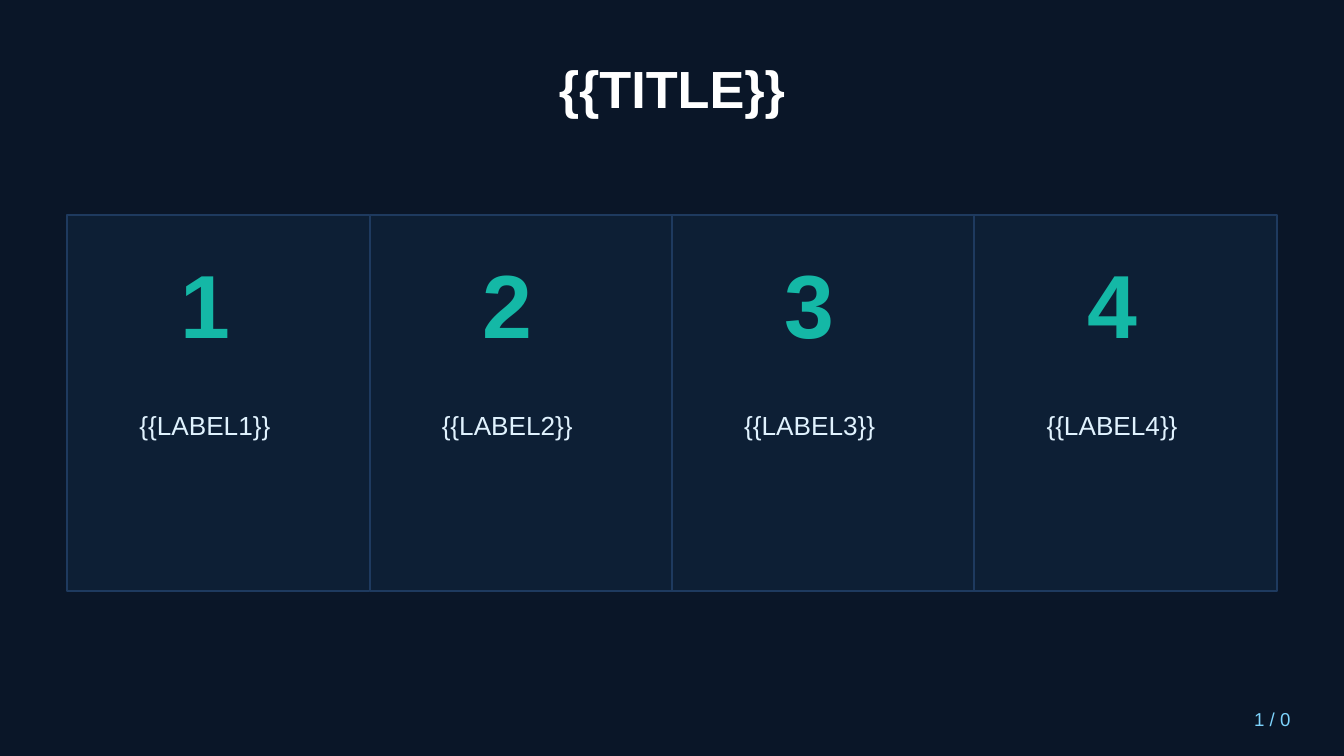
import pptx
import pptx.dml.color
import pptx.enum.shapes
import pptx.enum.text
import pptx.util

WIDTH = 10
HEIGHT = WIDTH * 9 / 16
FONT = "Arial"
ALIGN = pptx.enum.text.PP_ALIGN
ANCHOR = pptx.enum.text.MSO_ANCHOR


def colour(hex_value):
    return pptx.dml.color.RGBColor.from_string(hex_value)


def inches(box):
    return [pptx.util.Inches(length) for length in box]


def write(holder, text, size, hex_value, bold=False,
          align=ALIGN.CENTER, anchor=ANCHOR.MIDDLE):
    frame = holder.text_frame
    frame.text = text
    frame.word_wrap = True
    frame.auto_size = pptx.enum.text.MSO_AUTO_SIZE.NONE
    frame.vertical_anchor = anchor
    paragraph = frame.paragraphs[0]
    paragraph.alignment = align
    font = paragraph.runs[0].font
    font.name = FONT
    font.size = pptx.util.Pt(size)
    font.bold = bold
    font.color.rgb = colour(hex_value)


def add_heading(slide, box, text):
    heading = slide.shapes.title
    heading.left, heading.top, heading.width, heading.height = inches(box)
    write(heading, text, 28, "FFFFFF", bold=True)


def add_card(slide, box, number, label):
    left, top, width, height = box
    text_width = width - 0.2
    card = slide.shapes.add_shape(
        pptx.enum.shapes.MSO_SHAPE.RECTANGLE, *inches(box))
    card.shadow.inherit = False
    card.fill.solid()
    card.fill.fore_color.rgb = colour("0D1F35")
    card.line.color.rgb = colour("1E3A5F")
    card.line.width = pptx.util.Pt(1)

    figure = slide.shapes.add_textbox(
        *inches((left, top - 0.1, text_width, 1.5)))
    write(figure, number, 48, "14B8A6", bold=True)
    caption = slide.shapes.add_textbox(
        *inches((left, top + height / 2, text_width, 1)))
    write(caption, label, 14, "E0F2FE", anchor=ANCHOR.TOP)


def add_card_row(slide, box, labels):
    left, top, width, height = box
    column = width / len(labels)
    for index, label in enumerate(labels):
        add_card(slide, (left + index * column, top, column, height),
                 str(index + 1), label)


def add_page_count(slide, box, text):
    page_count = slide.shapes.add_textbox(*inches(box))
    write(page_count, text, 10, "7DD3FC", align=ALIGN.RIGHT)


def main():
    deck = pptx.Presentation()
    deck.slide_width, deck.slide_height = inches((WIDTH, HEIGHT))
    slide = deck.slides.add_slide(deck.slide_layouts.get_by_name("Title Only"))
    slide.background.fill.solid()
    slide.background.fill.fore_color.rgb = colour("0A1628")

    margin = WIDTH * 0.05
    content_width = WIDTH - 2 * margin
    add_heading(slide, (margin, 0.3, content_width, 0.7), "{{TITLE}}")
    add_card_row(slide, (margin, 1.6, content_width, 2.8),
                 ["{{LABEL1}}", "{{LABEL2}}", "{{LABEL3}}", "{{LABEL4}}"])
    add_page_count(slide, (WIDTH * 0.85, 5.2, WIDTH * 0.12, 0.3), "1 / 0")
    deck.save("out.pptx")


if __name__ == "__main__":
    main()
